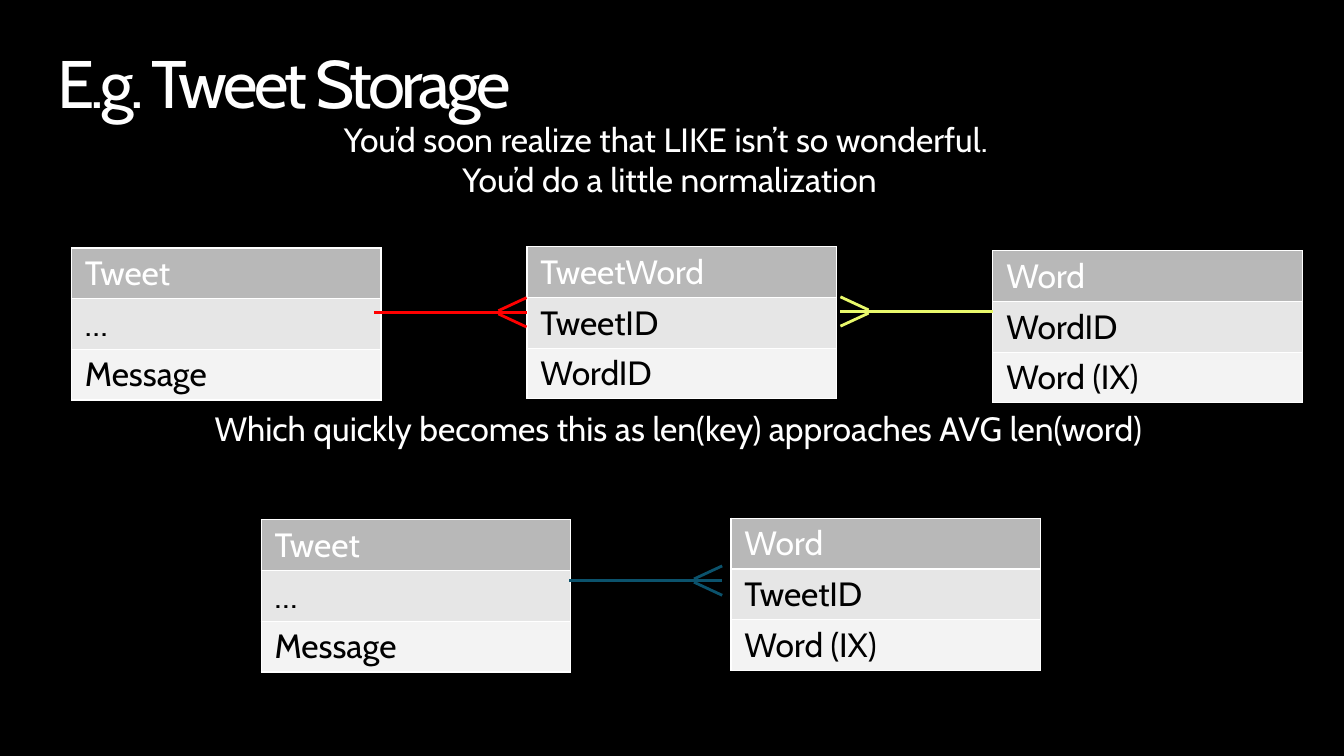
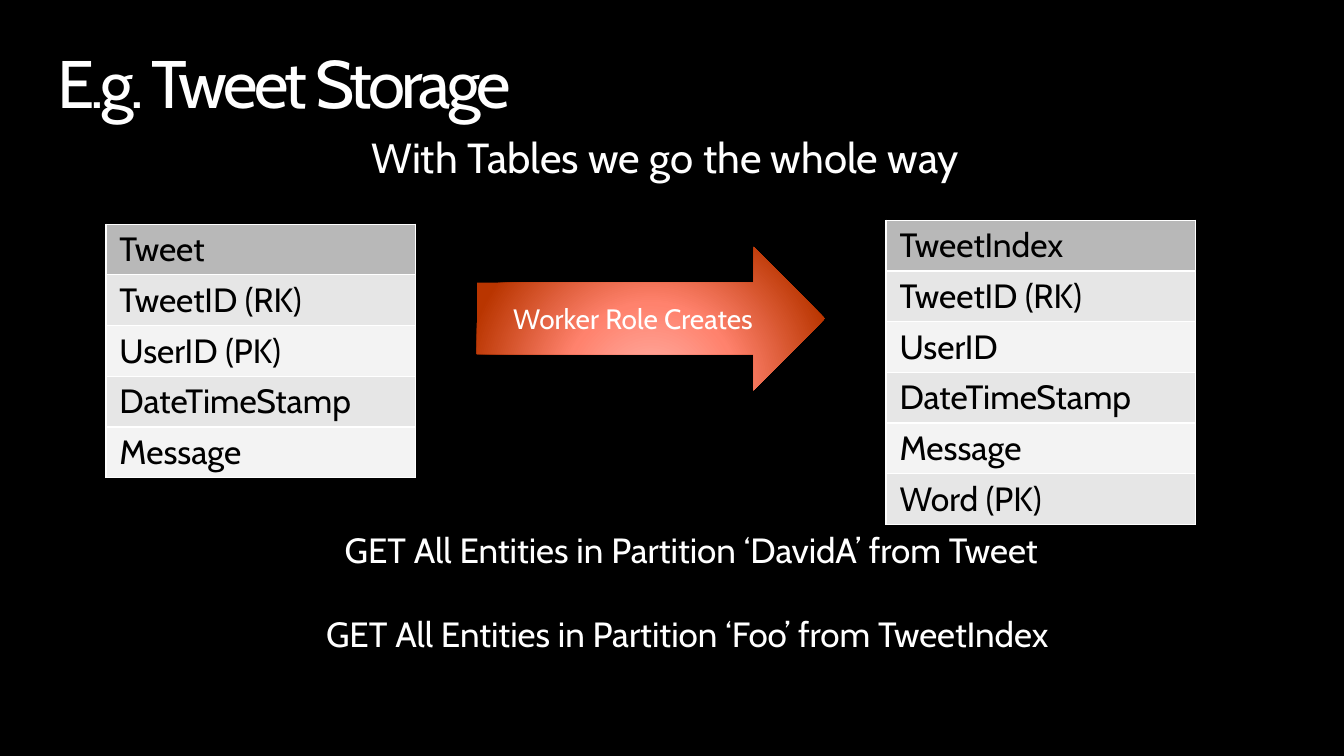
"""Build two slides on storing tweets in normalized and in partitioned tables."""

from dataclasses import dataclass

from lxml.etree import SubElement
from pptx import Presentation
from pptx.dml.color import RGBColor
from pptx.enum.shapes import MSO_CONNECTOR as Connector, MSO_SHAPE as Preset
from pptx.enum.text import MSO_ANCHOR as Anchor, PP_ALIGN as Align
from pptx.oxml import parse_xml
from pptx.oxml.ns import nsdecls, qn
from pptx.slide import Slide
from pptx.text.text import _Paragraph as Paragraph
from pptx.util import Cm, Pt

COLORS = {
    "background": "000000",
    "light": "FFFFFF",
    "dark": "000000",
    "header": "B8B8B8",
    "odd_row": "E6E6E6",
    "even_row": "F3F3F3",
    "red": "FF0000",
    "yellow": "E9F96B",
    "blue": "0B526C",
    "arrow_glow": "FFB4AB",
    "arrow_middle": "FF826D",
    "arrow_edge": "B93500",
}
FONT = "Cabin"
TITLE = "E.g. Tweet Storage"
TABLE_WIDTH = 7.8
ROW_HEIGHT = 1.27
TOE_LENGTH = 0.71
TOE_SPREAD = 0.37
TOE_GAP = 0.04


@dataclass(frozen=True)
class Label:
    left: float
    top: float
    width: float
    height: float
    lines: tuple[str, ...]
    size: float = 24
    inset: tuple[float, float] = (0.25, 0.13)
    align: Align = Align.CENTER
    gap: float = 0


@dataclass(frozen=True)
class Entity:
    left: float
    top: float
    name: str
    fields: tuple[str, ...]
    name_color: str = "light"


@dataclass(frozen=True)
class Relation:
    one_x: float
    many_x: float
    y: float
    color: str


NORMALIZED_LABELS = (
    Label(1.27, 10.29, 31.65, 1.02,
          ("Which quickly becomes this as len(key) approaches AVG len(word)",),
          inset=(0, 0)),
    Label(2.36, 2.87, 29.03, 2.31,
          ("You’d soon realize that LIKE isn’t so wonderful. ",
           "You’d do a little normalization")),
)
NORMALIZED_ENTITIES = (
    Entity(1.8, 6.25, "Tweet", ("…", "Message")),
    Entity(13.28, 6.22, "TweetWord", ("TweetID", "WordID")),
    Entity(25.02, 6.32, "Word", ("WordID", "Word (IX)")),
    Entity(6.58, 13.1, "Tweet", ("…", "Message")),
    Entity(18.42, 13.06, "Word", ("TweetID", "Word (IX)")),
)
RELATIONS = (
    Relation(9.42, 13.27, 7.87, "red"),
    Relation(25.02, 21.18, 7.85, "yellow"),
    Relation(14.35, 18.2, 14.63, "blue"),
)
PARTITIONED_LABELS = (
    Label(1.93, 3.18, 29.67, 1.55, ("With Tables we go the whole way",), size=30),
    Label(2.34, 13.18, 30.15, 3.45,
          ("GET All Entities in Partition ‘DavidA’ from Tweet",
           "GET All Entities in Partition ‘Foo’ from TweetIndex "),
          size=25, gap=30),
)
PARTITIONED_ENTITIES = (
    Entity(2.67, 5.65, "Tweet",
           ("TweetID (RK)", "UserID (PK)", "DateTimeStamp", "Message"), "dark"),
    Entity(22.33, 5.55, "TweetIndex",
           ("TweetID (RK)", "UserID", "DateTimeStamp", "Message", "Word (PK)"), "dark"),
)


def rgb(color: str) -> RGBColor:
    """Look up a named colour."""
    return RGBColor.from_string(COLORS[color])


def style_paragraph(paragraph: Paragraph, size: float, color: str = "light") -> None:
    """Set the deck font on a paragraph."""
    font = paragraph.font
    font.name = FONT
    font.size = Pt(size)
    font.bold = False
    font.color.rgb = rgb(color)


def add_label(slide: Slide, label: Label) -> Paragraph:
    """Add a text box and return its first paragraph."""
    box = slide.shapes.add_textbox(
        Cm(label.left), Cm(label.top), Cm(label.width), Cm(label.height))
    frame = box.text_frame
    frame.word_wrap = True
    frame.margin_left = frame.margin_right = Cm(label.inset[0])
    frame.margin_top = frame.margin_bottom = Cm(label.inset[1])
    frame.text = "\n".join(label.lines)
    for index, paragraph in enumerate(frame.paragraphs):
        style_paragraph(paragraph, label.size)
        paragraph.alignment = label.align
        paragraph.space_before = Pt(label.gap if index else 0)
    return frame.paragraphs[0]


def add_title(slide: Slide) -> None:
    """Add the tightly spaced slide title."""
    paragraph = add_label(slide, Label(
        1.45, 1.27, 30.96, 1.85, (TITLE,), size=48, inset=(0, 0), align=Align.LEFT))
    paragraph.line_spacing = 0.9
    paragraph.font._rPr.set("spc", "-270")


def add_entity(slide: Slide, entity: Entity) -> None:
    """Add a table with a header row and one row per field."""
    texts = (entity.name, *entity.fields)
    table = slide.shapes.add_table(
        len(texts), 1, Cm(entity.left), Cm(entity.top),
        Cm(TABLE_WIDTH), Cm(ROW_HEIGHT * len(texts))).table
    table.horz_banding = False
    for index, text in enumerate(texts):
        cell = table.cell(index, 0)
        cell.text = text
        cell.margin_left = cell.margin_right = Cm(0.34)
        cell.margin_top = cell.margin_bottom = Cm(0.13)
        style_paragraph(cell.text_frame.paragraphs[0], 24,
                        "dark" if index else entity.name_color)
        properties = cell._tc.get_or_add_tcPr()
        for side in ("lnL", "lnR", "lnT", "lnB"):
            border = SubElement(properties, qn(f"a:{side}"), w=str(Pt(1)))
            fill = SubElement(border, qn("a:solidFill"))
            SubElement(fill, qn("a:srgbClr"), val=COLORS["light"])
        row_color = "odd_row" if index % 2 else "even_row"
        cell.fill.solid()
        cell.fill.fore_color.rgb = rgb(row_color if index else "header")


def add_relation(slide: Slide, relation: Relation) -> None:
    """Add a grouped one-to-many line ending in a crow's foot."""
    group = slide.shapes.add_group_shape()
    direction = 1 if relation.many_x > relation.one_x else -1
    heel_x = relation.many_x - direction * TOE_LENGTH
    strokes = [(relation.one_x, relation.y, relation.y)]
    strokes += [(heel_x, relation.y + side * TOE_GAP, relation.y + side * TOE_SPREAD)
                for side in (-1, 1)]
    for start_x, start_y, end_y in strokes:
        line = group.shapes.add_connector(
            Connector.STRAIGHT, Cm(start_x), Cm(start_y), Cm(relation.many_x), Cm(end_y))
        line.line.color.rgb = rgb(relation.color)
        line.line.width = Pt(2)
        SubElement(line._element.spPr, qn("a:effectLst"))


def add_worker_arrow(slide: Slide) -> None:
    """Add the glowing arrow between the two tables."""
    arrow = slide.shapes.add_shape(
        Preset.RIGHT_ARROW, Cm(12.01), Cm(6.22), Cm(8.79), Cm(3.61))
    arrow.shadow.inherit = False
    arrow.line.fill.background()
    stops = "".join(
        f'<a:gs pos="{position * 1000}"><a:srgbClr val="{COLORS[color]}"/></a:gs>'
        for position, color in ((0, "arrow_glow"), (46, "arrow_middle"), (100, "arrow_edge")))
    gradient = parse_xml(
        f'<a:gradFill {nsdecls("a")} rotWithShape="1"><a:gsLst>{stops}</a:gsLst>'
        '<a:path path="circle">'
        '<a:fillToRect l="50000" t="155000" r="50000" b="-55000"/>'
        '</a:path></a:gradFill>')
    arrow._element.spPr.find(qn("a:prstGeom")).addnext(gradient)
    frame = arrow.text_frame
    frame.word_wrap = True
    frame.vertical_anchor = Anchor.MIDDLE
    frame.text = "Worker Role Creates"
    paragraph = frame.paragraphs[0]
    paragraph.alignment = Align.CENTER
    style_paragraph(paragraph, 20)


def add_storage_slide(presentation: Presentation, labels: tuple[Label, ...],
                      entities: tuple[Entity, ...]) -> Slide:
    """Add a titled slide with its tables and texts."""
    slide = presentation.slides.add_slide(presentation.slide_layouts[6])
    add_title(slide)
    for entity in entities:
        add_entity(slide, entity)
    for label in labels:
        add_label(slide, label)
    return slide


def main() -> None:
    """Build and save the presentation."""
    presentation = Presentation()
    presentation.slide_width = Cm(33.87)
    presentation.slide_height = Cm(19.05)
    background = presentation.slide_master.background.fill
    background.solid()
    background.fore_color.rgb = rgb("background")

    normalized = add_storage_slide(presentation, NORMALIZED_LABELS, NORMALIZED_ENTITIES)
    for relation in RELATIONS:
        add_relation(normalized, relation)

    partitioned = add_storage_slide(presentation, PARTITIONED_LABELS, PARTITIONED_ENTITIES)
    add_worker_arrow(partitioned)

    presentation.save("out.pptx")


if __name__ == "__main__":
    main()
